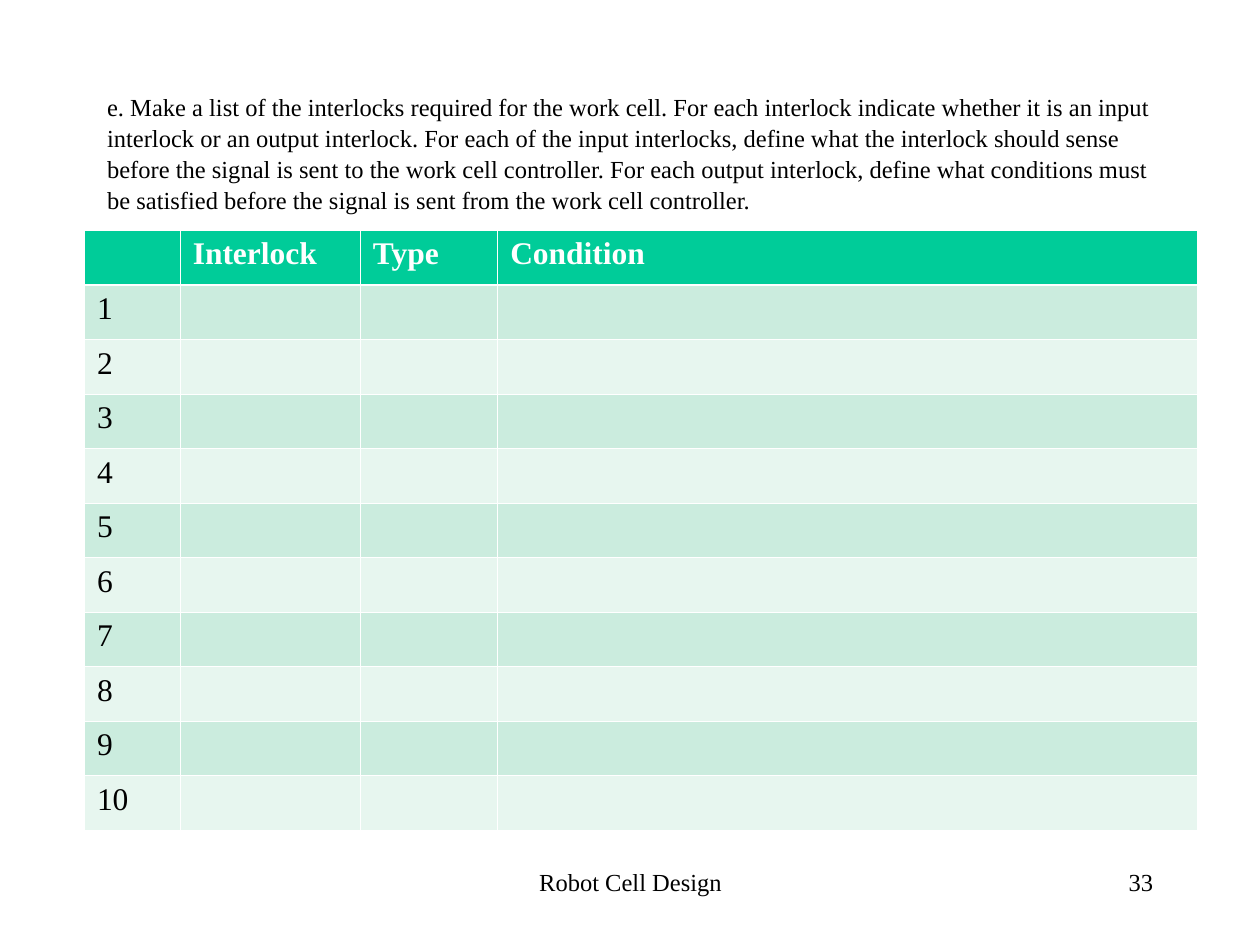
from dataclasses import dataclass

from lxml.etree import SubElement
from pptx import Presentation
from pptx.dml.color import RGBColor
from pptx.enum.text import MSO_ANCHOR, MSO_AUTO_SIZE, PP_ALIGN
from pptx.oxml.ns import qn
from pptx.util import Inches, Pt


@dataclass(frozen=True)
class Theme:
    font: str = "Times New Roman"
    body: int = 14
    cell: int = 18
    ink: str = "000000"
    white: str = "FFFFFF"
    head: str = "00CC99"
    bands: tuple = ("CBECDE", "E7F6EF")
    thin: float = 0.45
    thick: float = 1.47


THEME = Theme()
TASK = (
    "e. Make a list of the interlocks required for the work cell. "
    "For each interlock indicate whether it is an input interlock or an output interlock. "
    "For each of the input interlocks, define what the interlock should sense "
    "before the signal is sent to the work cell controller. "
    "For each output interlock, define what conditions must be satisfied "
    "before the signal is sent from the work cell controller."
)
HEADS = ("", "Interlock", "Type", "Condition")
WIDTHS = (0.76, 1.43, 1.09, 5.55)
COUNT = 10
ROW = 4.76 / (COUNT + 1)


def style(para, size, color=THEME.ink, bold=False):
    font = para.font
    font.name, font.size, font.bold = THEME.font, Pt(size), bold
    font.color.rgb = RGBColor.from_string(color)
    for run in para.runs:
        run.font.name, run.font.size, run.font.bold = THEME.font, Pt(size), bold
        run.font.color.rgb = RGBColor.from_string(color)


def add_title(slide, text):
    title = slide.shapes.title
    title.left, title.top = Inches(0.75), Inches(0.67)
    title.width, title.height = Inches(8.58), Inches(1.08)
    frame = title.text_frame
    frame.text = text
    frame.word_wrap = True
    frame.auto_size = MSO_AUTO_SIZE.NONE
    frame.vertical_anchor = MSO_ANCHOR.MIDDLE
    para = frame.paragraphs[0]
    para.alignment = PP_ALIGN.LEFT
    para.line_spacing = 1.05
    style(para, THEME.body)


def add_foot(slide, text, left, width, align):
    box = slide.shapes.add_textbox(Inches(left), Inches(6.83), Inches(width), Inches(0.5))
    frame = box.text_frame
    frame.text = text
    frame.word_wrap = True
    para = frame.paragraphs[0]
    para.alignment = align
    style(para, THEME.body)


def set_edge(cell, side, width):
    props = cell._tc.get_or_add_tcPr()
    line = SubElement(props, qn(f"a:{side}"), w=str(Pt(width)))
    fill = SubElement(line, qn("a:solidFill"))
    SubElement(fill, qn("a:srgbClr"), val=THEME.white)


def fill_cell(cell, text, row):
    head = row == 0
    # Edges come before the fill in the cell properties
    set_edge(cell, "lnL", THEME.thin)
    set_edge(cell, "lnR", THEME.thin)
    set_edge(cell, "lnT", THEME.thick if row == 1 else THEME.thin)
    set_edge(cell, "lnB", THEME.thick if head else THEME.thin)
    cell.fill.solid()
    tint = THEME.head if head else THEME.bands[(row - 1) % 2]
    cell.fill.fore_color.rgb = RGBColor.from_string(tint)
    cell.text_frame.text = text
    color = THEME.white if head else THEME.ink
    style(cell.text_frame.paragraphs[0], THEME.cell, color, head)


def add_grid(slide):
    rows = [HEADS] + [(str(num), "", "", "") for num in range(1, COUNT + 1)]
    frame = slide.shapes.add_table(
        len(rows), len(HEADS), Inches(0.67), Inches(1.83),
        Inches(sum(WIDTHS)), Inches(ROW * len(rows)))
    table = frame.table
    for col, width in zip(table.columns, WIDTHS):
        col.width = Inches(width)
    for r, texts in enumerate(rows):
        table.rows[r].height = Inches(ROW)
        for c, text in enumerate(texts):
            fill_cell(table.cell(r, c), text, r)


def main():
    deck = Presentation()
    deck.slide_width, deck.slide_height = Inches(10), Inches(7.5)
    slide = deck.slides.add_slide(deck.slide_layouts[5])

    # Footer and page number
    add_foot(slide, "Robot Cell Design", 3.42, 3.17, PP_ALIGN.CENTER)
    add_foot(slide, "33", 7.17, 2.08, PP_ALIGN.RIGHT)

    # Task text and the list to fill in
    add_title(slide, TASK)
    add_grid(slide)

    deck.save("out.pptx")


if __name__ == "__main__":
    main()
